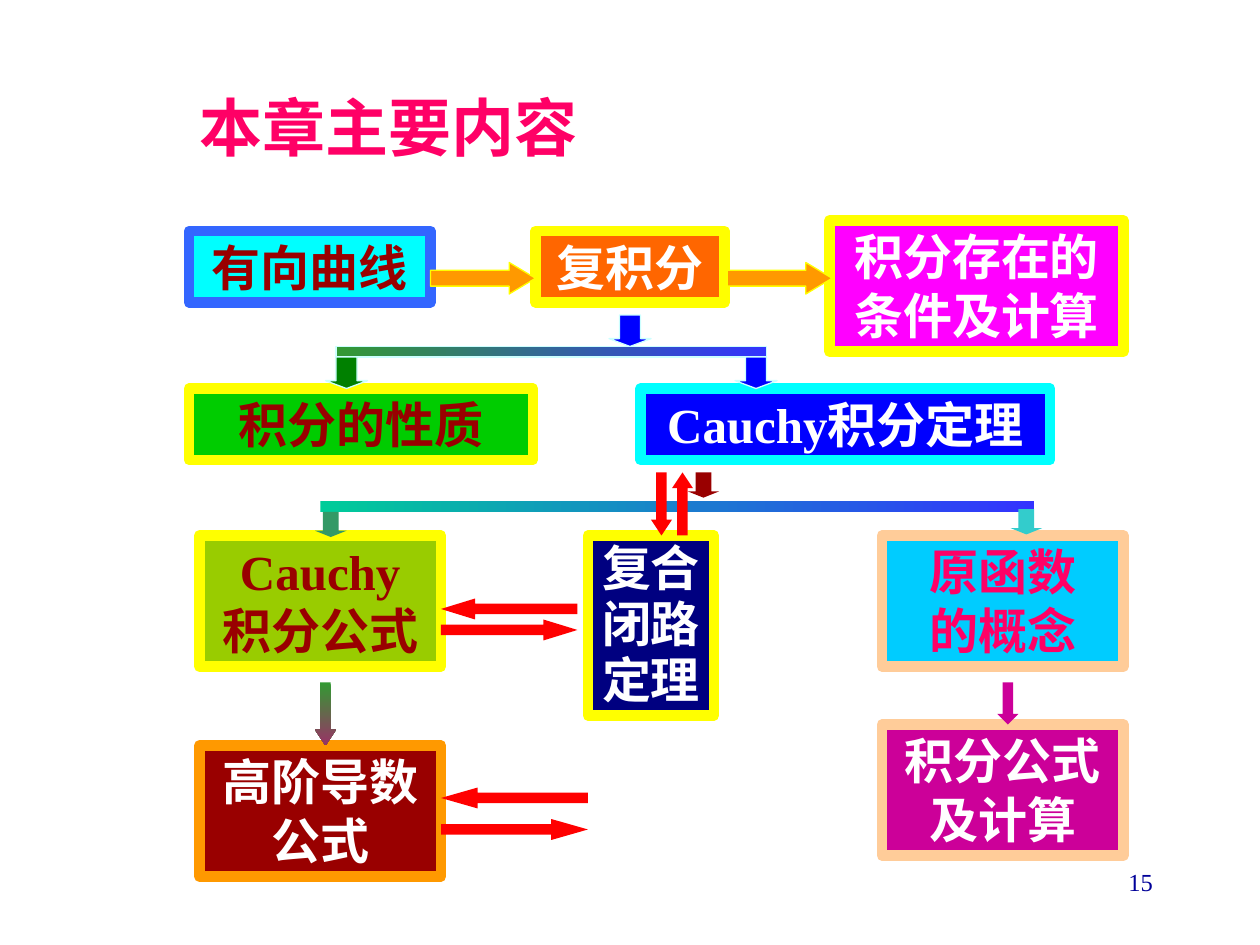
from dataclasses import dataclass
from typing import NamedTuple, Optional

from lxml.etree import SubElement
from pptx import Presentation
from pptx.dml.color import RGBColor
from pptx.enum.shapes import MSO_SHAPE as Preset
from pptx.enum.text import MSO_ANCHOR as Anchor, MSO_AUTO_SIZE as AutoSize, PP_ALIGN as Align
from pptx.oxml.ns import qn
from pptx.util import Inches, Pt

COLUMNS, ROWS = 120, 90
CELL = Inches(10) / COLUMNS


@dataclass(frozen=True)
class Theme:
    latin: str = "Times New Roman"
    chinese: str = "Noto Sans CJK SC"
    title_size: int = 36
    topic_size: int = 28
    number_size: int = 14
    frame: float = 6
    hairline: float = 0.75
    white: str = "FFFFFF"
    maroon: str = "990000"
    rose: str = "FF0066"
    yellow: str = "FFFF00"
    cyan: str = "00FFFF"
    blue: str = "0000FF"
    royal: str = "3366FF"
    indigo: str = "3333FF"
    navy: str = "000080"
    ink: str = "000099"
    sky: str = "00CCFF"
    orange: str = "FF6600"
    amber: str = "FF9900"
    peach: str = "FFCC99"
    magenta: str = "FF00FF"
    purple: str = "CC0099"
    plum: str = "993366"
    green: str = "00CC00"
    lime: str = "99CC00"
    leaf: str = "339933"
    forest: str = "008000"
    sea: str = "339966"
    mint: str = "00CC99"
    teal: str = "33CCCC"
    ice: str = "CCFFFF"
    red: str = "FF0000"


T = Theme()


class Area(NamedTuple):
    column: float
    row: float
    columns: float
    rows: float


class Topic(NamedTuple):
    area: Area
    lines: tuple[str, ...]
    fill: str
    frame: str
    ink: str = T.white
    latin: str = T.chinese
    spacing: Optional[float] = None


class Mark(NamedTuple):
    preset: Preset
    area: Area
    fill: str
    line: Optional[str] = None
    fade_to: Optional[str] = None


TOPICS = (
    Topic(Area(18, 22, 23, 6.8), ("有向曲线",), T.cyan, T.royal, T.maroon),
    Topic(Area(51, 22, 18, 6.8), ("复积分",), T.orange, T.yellow),
    Topic(Area(79, 21, 28, 12.5), ("积分存在的", "条件及计算"), T.magenta, T.yellow),
    Topic(Area(18, 37, 32.75, 6.8), ("积分的性质",), T.green, T.yellow, T.maroon, T.latin),
    Topic(Area(61, 37, 39, 6.8), ("Cauchy积分定理",), T.blue, T.cyan, latin=T.latin),
    Topic(Area(84, 51, 23, 12.5), ("原函数", "的概念"), T.sky, T.peach, T.rose),
    Topic(Area(56, 51, 12, 17.15), ("复合闭路定理",), T.navy, T.yellow, spacing=0.95),
    Topic(Area(19, 51, 23, 12.5), ("Cauchy", "积分公式"), T.lime, T.yellow, T.maroon, T.latin),
    Topic(Area(19, 71, 23, 12.5), ("高阶导数公式",), T.maroon, T.amber, latin=T.latin),
)
FORMULAS = Topic(Area(84, 69, 23, 12.5), ("积分公式及计算",), T.purple, T.peach)

LEFT, RIGHT, UP, DOWN = (
    Preset.LEFT_ARROW, Preset.RIGHT_ARROW, Preset.UP_ARROW, Preset.DOWN_ARROW)

THEOREM_BRANCH = (
    Mark(Preset.RECTANGLE, Area(30.5, 47.75, 68, 1), T.mint, fade_to=T.indigo),
    Mark(DOWN, Area(30, 48.75, 3, 2.4), T.sea),
    Mark(DOWN, Area(65.5, 45, 3, 2.4), T.maroon),
    Mark(DOWN, Area(96.25, 48.5, 3, 2.4), T.teal),
)
INTEGRAL_BRANCH = (
    Mark(DOWN, Area(58, 30, 4, 3), T.blue, T.ice),
    Mark(Preset.RECTANGLE, Area(32, 33, 41, 1), T.leaf, T.ice, T.indigo),
    Mark(DOWN, Area(31, 34, 4, 3), T.forest, T.ice),
    Mark(DOWN, Area(70, 34, 4, 3), T.blue, T.ice),
)
STEPS = (
    Mark(LEFT, Area(42, 57, 13, 2), T.red),
    Mark(RIGHT, Area(42, 59, 13, 2), T.red),
    Mark(RIGHT, Area(69.25, 25, 10, 3), T.amber, T.yellow),
    Mark(RIGHT, Area(41, 25, 10, 3), T.amber, T.yellow),
    Mark(DOWN, Area(30, 65, 2, 6), T.leaf, fade_to=T.plum),
)
RETURNS = (
    Mark(DOWN, Area(62, 45, 2, 6), T.red),
    Mark(UP, Area(64, 45, 2, 6), T.red),
    Mark(LEFT, Area(42, 75, 14, 2), T.red),
    Mark(RIGHT, Area(42, 78, 14, 2), T.red),
)
FORMULA_STEP = Mark(DOWN, Area(95, 65, 2, 4), T.purple)


def place(area: Area) -> list[int]:
    return [round(cells * CELL) for cells in area]


def write(frame, *lines: str, size: float, color: str, bold: bool = True,
          latin: str = T.latin, align: Align = Align.CENTER,
          anchor: Anchor = Anchor.TOP, fit: AutoSize = AutoSize.NONE,
          spacing: Optional[float] = None) -> None:
    frame.word_wrap = True
    frame.auto_size = fit
    frame.vertical_anchor = anchor
    for index, line in enumerate(lines):
        paragraph = frame.add_paragraph() if index else frame.paragraphs[0]
        paragraph.alignment = align
        paragraph.line_spacing = spacing
        run = paragraph.add_run()
        run.text = line
        run.font.size = Pt(size)
        run.font.bold = bold
        run.font.color.rgb = RGBColor.from_string(color)
        run.font.name = latin
        SubElement(run.font._element, qn("a:ea"), typeface=T.chinese)


def draw_mark(shapes, mark: Mark, line_width: float = T.hairline):
    shape = shapes.add_shape(mark.preset, *place(mark.area))
    shape.shadow.inherit = False
    if mark.fade_to:
        shape.fill.gradient()
        shape.fill.gradient_angle = 270 if mark.preset is DOWN else 0
        for stop, color in zip(shape.fill.gradient_stops, (mark.fill, mark.fade_to)):
            stop.color.rgb = RGBColor.from_string(color)
    else:
        shape.fill.solid()
        shape.fill.fore_color.rgb = RGBColor.from_string(mark.fill)
    if mark.line:
        shape.line.color.rgb = RGBColor.from_string(mark.line)
        shape.line.width = Pt(line_width)
    else:
        shape.line.fill.background()
    if mark.preset is not Preset.RECTANGLE:
        width, height = mark.area.columns, mark.area.rows
        length = height if mark.preset in (UP, DOWN) else width
        shape.adjustments[1] = length / 4 / min(width, height)
    return shape


def draw_topic(shapes, topic: Topic) -> None:
    box = draw_mark(shapes, Mark(Preset.RECTANGLE, topic.area, topic.fill, topic.frame), T.frame)
    write(box.text_frame, *topic.lines, size=T.topic_size, color=topic.ink,
          latin=topic.latin, fit=AutoSize.SHAPE_TO_FIT_TEXT, spacing=topic.spacing)


def draw_marks(shapes, marks: tuple[Mark, ...]) -> None:
    for mark in marks:
        draw_mark(shapes, mark)


def main() -> None:
    deck = Presentation()
    deck.slide_width, deck.slide_height = round(COLUMNS * CELL), round(ROWS * CELL)
    slide = deck.slides.add_slide(deck.slide_layouts[5])
    shapes = slide.shapes

    heading = shapes.title
    heading.left, heading.top, heading.width, heading.height = place(Area(9, 8, 53, 8))
    heading.text_frame.margin_left = Inches(0.35)
    write(heading.text_frame, "本章主要内容", size=T.title_size, color=T.rose,
          anchor=Anchor.MIDDLE)

    for topic in TOPICS:
        draw_topic(shapes, topic)
    draw_marks(shapes.add_group_shape().shapes, THEOREM_BRANCH)
    draw_marks(shapes, STEPS)
    draw_marks(shapes.add_group_shape().shapes, INTEGRAL_BRANCH)
    draw_marks(shapes, RETURNS)
    draw_topic(shapes, FORMULAS)
    draw_mark(shapes, FORMULA_STEP)

    page_number = shapes.add_textbox(*place(Area(86, 82, 25, 6)))
    write(page_number.text_frame, "15", size=T.number_size, color=T.ink,
          bold=False, align=Align.RIGHT)
    deck.save("out.pptx")


if __name__ == "__main__":
    main()
